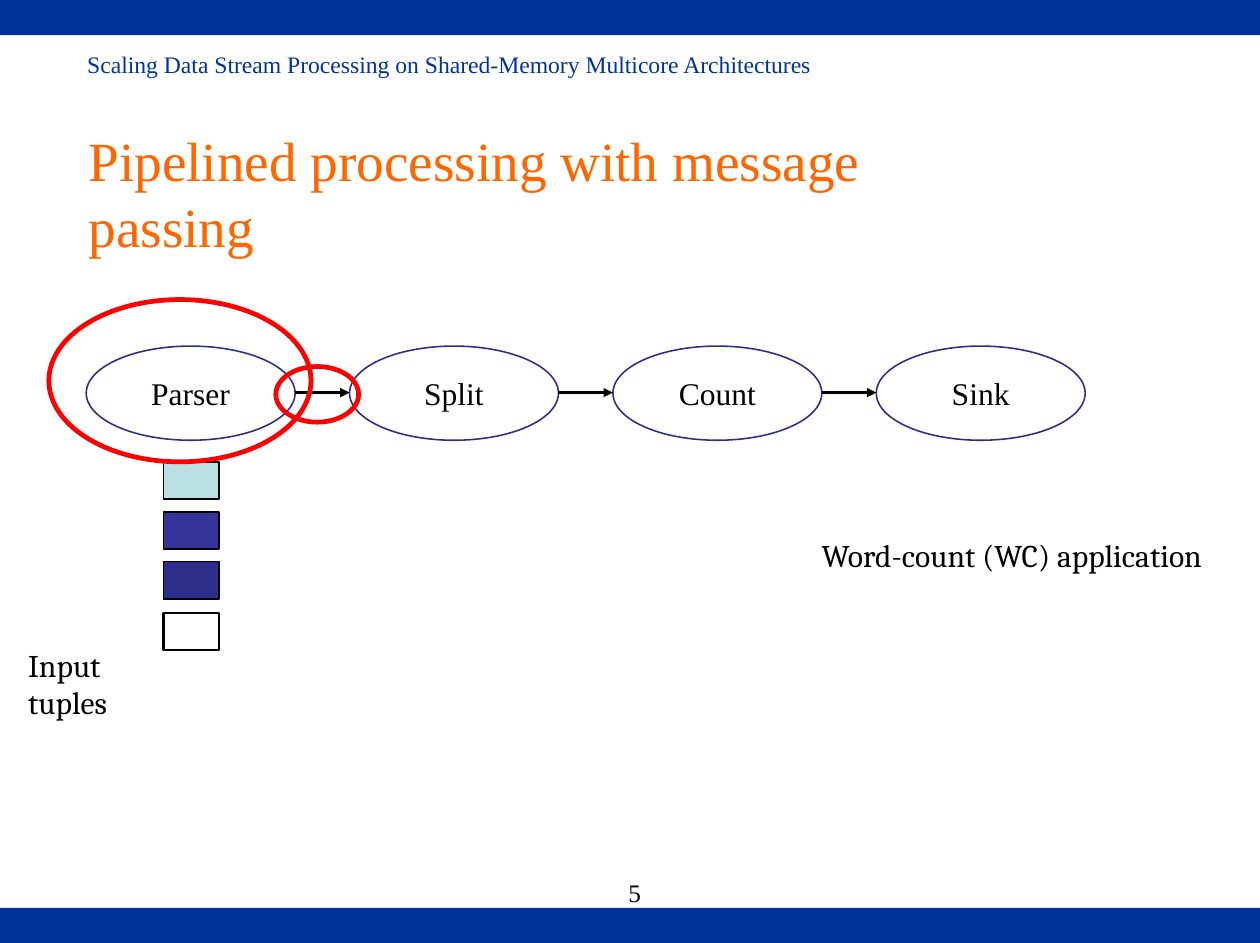
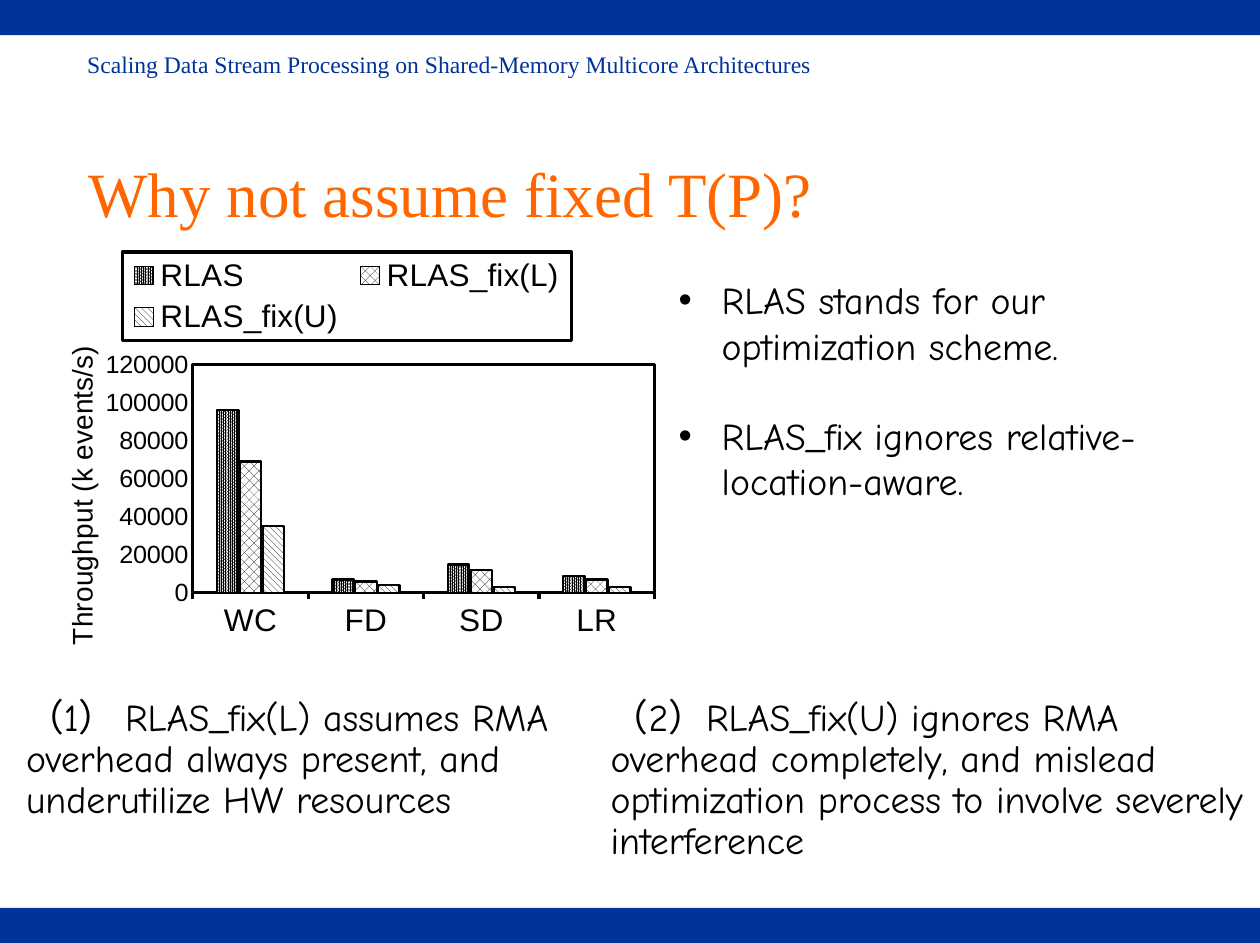
from typing import NamedTuple

from pptx import Presentation
from pptx.chart.data import CategoryChartData
from pptx.dml.color import RGBColor
from pptx.enum.chart import XL_CHART_TYPE, XL_LEGEND_POSITION, XL_TICK_MARK
from pptx.enum.dml import MSO_PATTERN
from pptx.enum.shapes import MSO_CONNECTOR, MSO_SHAPE
from pptx.enum.text import MSO_ANCHOR, PP_ALIGN
from pptx.oxml import parse_xml
from pptx.oxml.ns import nsdecls
from pptx.util import Inches, Pt

OVAL, RECT = MSO_SHAPE.OVAL, MSO_SHAPE.RECTANGLE
STRAIGHT = MSO_CONNECTOR.STRAIGHT
CENTER, MIDDLE = PP_ALIGN.CENTER, MSO_ANCHOR.MIDDLE
COLUMNS, LEGEND_TOP = XL_CHART_TYPE.COLUMN_CLUSTERED, XL_LEGEND_POSITION.TOP
TICK_OUT, TICK_NONE = XL_TICK_MARK.OUTSIDE, XL_TICK_MARK.NONE
DENSE, CROSSED, DIAGONAL = map(MSO_PATTERN.from_xml, ("pct90", "pct40", "wdDnDiag"))

BLACK, WHITE, RED = "000000", "FFFFFF", "FF0000"
BAND, ORANGE, NAVY = "003399", "FF6600", "2D2D8A"
SERIF, LABEL, HAND, SANS = "Times New Roman", "Cambria", "Comic Neue", "Arial"
WIDTH, HEIGHT, BAND_H = 11.1, 8.31, 0.31
TALK = "Scaling Data Stream Processing on Shared-Memory Multicore Architectures"
DEFAULT_INSETS, TITLE_INSETS, NO_INSETS = (0.1, 0.05), (0.11, 0.06), (0, 0)


class Box(NamedTuple):
    left: float
    top: float
    width: float
    height: float

    def lengths(self):
        return [Inches(v) for v in self]


class Style(NamedTuple):
    size: float
    font: str
    color: str = BLACK


class Series(NamedTuple):
    name: str
    values: tuple
    pattern: MSO_PATTERN


HEADER, TITLE = Style(15, SERIF, BAND), Style(35, SERIF, ORANGE)
NODE, NUMBER = Style(20, SERIF), Style(16, SERIF)
CAPTION, NOTE = Style(20, LABEL), Style(24, HAND)

STAGES = ("Parser", "Split", "Count", "Sink")
STAGE, STAGE_PITCH = Box(0.76, 3.05, 1.84, 0.83), 2.32
TUPLES = ((4.07, "BBE0E3", 1), (4.51, "333399", 1), (4.95, NAVY, 1), (5.4, WHITE, 1.5))
RINGS = (Box(0.43, 2.64, 2.31, 1.43), Box(2.43, 3.23, 0.73, 0.49))

CATEGORIES = ("WC", "FD", "SD", "LR")
SERIES = (
    Series("RLAS", (96000, 7000, 15000, 9000), DENSE),
    Series("RLAS_fix(L)", (69000, 6000, 12000, 7000), CROSSED),
    Series("RLAS_fix(U)", (35000, 4000, 3000, 3000), DIAGONAL),
)
FINDINGS = (
    (Box(0.23, 6.16, 4.99, 1.09),
     "（1） RLAS_fix(L) assumes RMA overhead always present, "
     "and underutilize HW resources"),
    (Box(5.38, 6.16, 5.73, 1.45),
     "（2）RLAS_fix(U) ignores RMA overhead completely, and mislead "
     "optimization process to involve severely interference"),
)
BULLETS = ("RLAS stands for our optimization scheme.",
           "RLAS_fix ignores relative-location-aware.")


def rgb(color: str) -> RGBColor:
    return RGBColor.from_string(color)


def set_font(font, style: Style) -> None:
    font.size, font.name, font.bold = Pt(style.size), style.font, False
    font.color.rgb = rgb(style.color)


def add_run(p, text: str, style: Style) -> None:
    r = p.add_run()
    r.text = text
    set_font(r.font, style)


def add_text(slide, box: Box, text: str, style: Style, insets=DEFAULT_INSETS,
             align=None, anchor=None, wrap=True, spacing=None) -> None:
    tf = slide.shapes.add_textbox(*box.lengths()).text_frame
    tf.word_wrap = wrap
    tf.margin_left = tf.margin_right = Inches(insets[0])
    tf.margin_top = tf.margin_bottom = Inches(insets[1])
    tf.vertical_anchor = anchor
    p = tf.paragraphs[0]
    p.alignment, p.line_spacing = align, spacing
    add_run(p, text, style)


def add_shape(slide, kind, box: Box, fill=None, line=None, weight=1.0):
    sp = slide.shapes.add_shape(kind, *box.lengths())
    sp.shadow.inherit = False
    if fill:
        sp.fill.solid()
        sp.fill.fore_color.rgb = rgb(fill)
    else:
        sp.fill.background()
    if line:
        sp.line.color.rgb = rgb(line)
        sp.line.width = Pt(weight)
    else:
        sp.line.fill.background()
    return sp


def add_arrow(slide, x1: float, x2: float, y: float) -> None:
    cxn = slide.shapes.add_connector(
        STRAIGHT, Inches(x1), Inches(y), Inches(x2), Inches(y))
    cxn.line.color.rgb = rgb(BLACK)
    cxn.line.width = Pt(1.5)
    cxn.line._get_or_add_ln().append(
        parse_xml(f'<a:tailEnd {nsdecls("a")} type="triangle"/>'))
    cxn._element.spPr.append(parse_xml(f'<a:effectLst {nsdecls("a")}/>'))


def add_base(prs, title: str, style: Style = TITLE):
    """Add a slide with the shared bands, running header and title."""
    slide = prs.slides.add_slide(prs.slide_layouts[6])
    for top in (HEIGHT - BAND_H, 0):
        add_shape(slide, RECT, Box(0, top, WIDTH, BAND_H), BAND)
    add_text(slide, Box(0.67, 0.39, 7.92, 0.35), TALK, HEADER)
    add_text(slide, Box(0.67, 1, 7.91, 1.39), title, style, TITLE_INSETS,
             anchor=MIDDLE)
    return slide


def add_bullets(slide, box: Box, items, style: Style, gap: float) -> None:
    tf = slide.shapes.add_textbox(*box.lengths()).text_frame
    tf.word_wrap = True
    for i, item in enumerate(items):
        p = tf.add_paragraph() if i else tf.paragraphs[0]
        if i:
            p.space_before = Pt(gap)
        pPr = p._p.get_or_add_pPr()
        pPr.set("marL", str(Inches(0.38)))
        pPr.set("indent", str(-Inches(0.38)))
        pPr.append(parse_xml(f'<a:buFont {nsdecls("a")} typeface="{SANS}"/>'))
        pPr.append(parse_xml(f'<a:buChar {nsdecls("a")} char="•"/>'))
        add_run(p, item, style)


def manual_layout(x: float, y: float, w=None, h=None, inner=False):
    """Chart layout element; lengths are fractions of the chart frame."""
    target = '<c:layoutTarget val="inner"/>' if inner else ""
    modes = '<c:xMode val="edge"/><c:yMode val="edge"/>'
    sizes = "".join(f'<c:{tag} val="{v}"/>' for tag, v in zip("xywh", (x, y, w, h))
                    if v is not None)
    return parse_xml(f'<c:layout {nsdecls("c")}><c:manualLayout>{target}{modes}'
                     f'{sizes}</c:manualLayout></c:layout>')


def outline(weight: float):
    return parse_xml(
        f'<c:spPr {nsdecls("c", "a")}><a:noFill/><a:ln w="{Pt(weight)}"><a:solidFill>'
        f'<a:srgbClr val="{BLACK}"/></a:solidFill></a:ln></c:spPr>')


def arrange_chart(chart) -> None:
    """Place and frame the plot, legend and value title."""
    plot = chart.element.xpath("c:chart/c:plotArea")[0]
    legend = chart.element.xpath("c:chart/c:legend")[0]
    title = chart.element.xpath(".//c:valAx/c:title")[0]
    for part in (plot, legend, title):
        for old in part.xpath("c:layout"):
            part.remove(old)
    plot.insert(0, manual_layout(0.26, 0.3, 0.72, 0.57, inner=True))
    plot.append(outline(2))
    legend.xpath("c:legendPos")[0].addnext(manual_layout(0.15, 0.02, 0.7, 0.22))
    legend.xpath("c:overlay")[0].addnext(outline(2))
    title.xpath("c:tx")[0].addnext(manual_layout(0.05, 0.25))
    body = title.xpath(".//a:bodyPr")[0]
    body.set("rot", "-5400000")
    body.set("vert", "horz")


def add_throughput_chart(slide, box: Box) -> None:
    data = CategoryChartData()
    data.categories = CATEGORIES
    for series in SERIES:
        data.add_series(series.name, series.values)
    chart = slide.shapes.add_chart(COLUMNS, *box.lengths(), data).chart
    chart.has_title = False
    set_font(chart.font, Style(20, SANS))
    chart.has_legend = True
    chart.legend.position = LEGEND_TOP
    chart.legend.include_in_layout = False
    set_font(chart.legend.font, Style(20, SANS))

    plot = chart.plots[0]
    plot.gap_width, plot.overlap, plot.vary_by_categories = 223, -6, False
    for drawn, series in zip(plot.series, SERIES):
        fill, line = drawn.format.fill, drawn.format.line
        fill.patterned()
        fill.pattern = series.pattern
        fill.fore_color.rgb, fill.back_color.rgb = rgb(BLACK), rgb(WHITE)
        line.color.rgb, line.width = rgb(BLACK), Pt(1.5)

    cat, val = chart.category_axis, chart.value_axis
    for axis, size, tick in ((cat, 20, TICK_OUT), (val, 16, TICK_NONE)):
        axis.has_major_gridlines = False
        axis.major_tick_mark, axis.minor_tick_mark = tick, TICK_NONE
        set_font(axis.tick_labels.font, Style(size, SANS))
    cat.format.line.color.rgb, cat.format.line.width = rgb(BLACK), Pt(2)
    val.format.line.fill.background()
    val.minimum_scale, val.maximum_scale, val.major_unit = 0, 120000, 20000
    val.has_title = True
    add_run(val.axis_title.text_frame.paragraphs[0], "Throughput (k events/s)",
            Style(18, SANS))
    arrange_chart(chart)


def build_pipeline_slide(prs) -> None:
    s = add_base(prs, "Pipelined processing with message passing")
    add_text(s, Box(3.83, 7.67, 3.52, 0.55), "5", NUMBER, TITLE_INSETS, CENTER)
    for i, name in enumerate(STAGES):
        left = STAGE.left + i * STAGE_PITCH
        sp = add_shape(s, OVAL, STAGE._replace(left=left), WHITE, NAVY)
        sp.text_frame.vertical_anchor = MIDDLE
        p = sp.text_frame.paragraphs[0]
        p.alignment = CENTER
        add_run(p, name, NODE)
        if i:
            add_arrow(s, left - STAGE_PITCH + STAGE.width, left, 3.46)
    for top, fill, weight in TUPLES:
        add_shape(s, RECT, Box(1.44, top, 0.49, 0.33), fill, BLACK, weight)
    for ring in RINGS:
        add_shape(s, OVAL, ring, line=RED, weight=3)
    add_text(s, Box(0.15, 5.64, 1.53, 0.77), "Input tuples", CAPTION)
    add_text(s, Box(7.14, 4.67, 3.55, 0.44), "Word-count (WC) application",
             CAPTION, wrap=False)


def build_comparison_slide(prs) -> None:
    s = add_base(prs, "Why not assume fixed T(P)?", TITLE._replace(size=40))
    add_throughput_chart(s, Box(0.23, 2.15, 5.65, 3.58))
    for box, text in FINDINGS:
        add_text(s, box, text, NOTE, NO_INSETS, spacing=0.9)
    add_bullets(s, Box(5.88, 2.39, 5.08, 2.12), BULLETS, NOTE, gap=28.5)


def main() -> None:
    prs = Presentation()
    prs.slide_width, prs.slide_height = Inches(WIDTH), Inches(HEIGHT)
    build_pipeline_slide(prs)
    build_comparison_slide(prs)
    prs.save("out.pptx")


if __name__ == "__main__":
    main()
